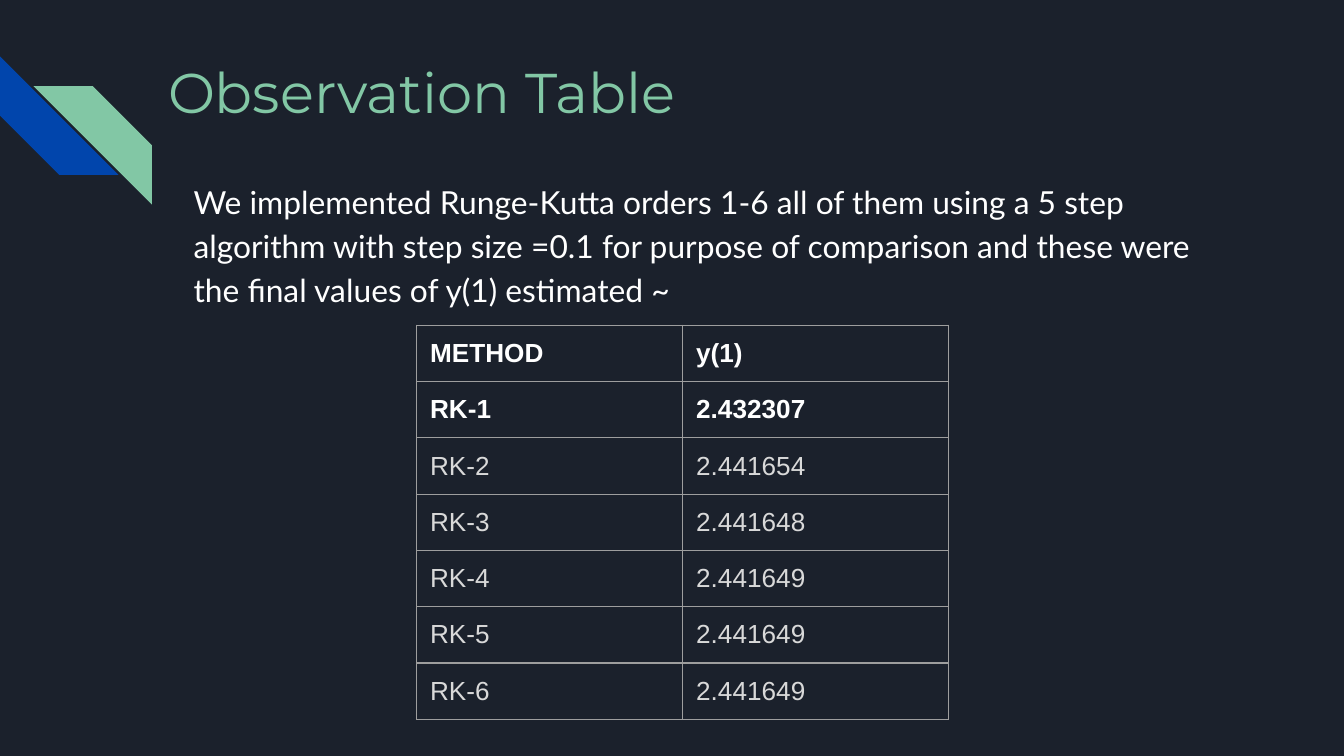
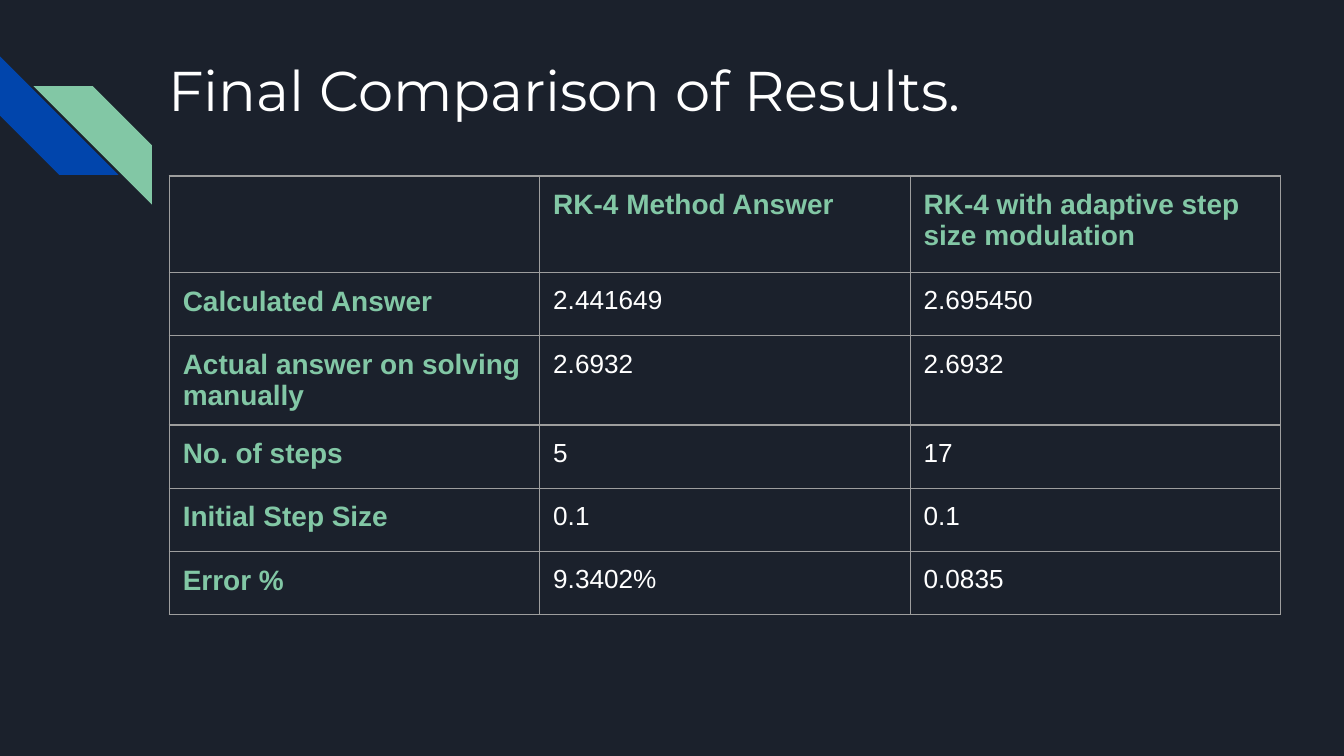
from dataclasses import dataclass

from lxml.etree import SubElement
from pptx import Presentation
from pptx.dml.color import RGBColor
from pptx.enum.shapes import MSO_SHAPE
from pptx.enum.text import MSO_ANCHOR, MSO_AUTO_SIZE, PP_ALIGN
from pptx.oxml.ns import qn
from pptx.util import Inches, Pt


@dataclass(frozen=True)
class Theme:
    back: str = "1B212C"
    blue: str = "0145AC"
    green: str = "82C7A5"
    white: str = "FFFFFF"
    soft: str = "D9D9D9"
    border: str = "9E9E9E"
    border_pt: float = 0.75
    title_font: str = "Montserrat"
    body_font: str = "Lato"
    table_font: str = "Arial"
    title_pt: int = 30
    body_pt: int = 17
    head_pt: int = 15
    cell_pt: int = 14


@dataclass(frozen=True)
class Box:
    """A region in grid columns and rows."""
    x: float
    y: float
    w: float
    h: float


T = Theme()
COLS, ROWS = 100, 56.25
INSET = Inches(0.1)
STRIPES = Box(0, 4.2, 11.3, 11)


def grid(n):
    """Length of n grid steps; columns and rows are equally large."""
    return Inches(n / 10)


def place(box):
    return [grid(n) for n in (box.x, box.y, box.w, box.h)]


def set_insets(target):
    for side in ("left", "top", "right", "bottom"):
        setattr(target, f"margin_{side}", INSET)


def write(tf, text, *, font, size, color, bold=False, spacing=1.0):
    p = tf.paragraphs[0]
    p.alignment = PP_ALIGN.LEFT
    p.line_spacing = spacing
    p.space_before = p.space_after = Pt(0)
    r = p.add_run()
    r.text = text
    r.font.name = font
    r.font.size = Pt(size)
    r.font.bold = bold
    r.font.color.rgb = RGBColor.from_string(color)
    return p


def fill_placeholder(ph, box, text, **fmt):
    ph.left, ph.top, ph.width, ph.height = place(box)
    tf = ph.text_frame
    tf.word_wrap = True
    tf.auto_size = MSO_AUTO_SIZE.NONE
    tf.vertical_anchor = MSO_ANCHOR.TOP
    set_insets(tf)
    return write(tf, text, **fmt)


def add_title(s, box, text, color):
    fill_placeholder(s.shapes.title, box, text, font=T.title_font,
                     size=T.title_pt, color=color)


def add_body(s, box, text):
    p = fill_placeholder(s.placeholders[1], box, text, font=T.body_font,
                         size=T.body_pt, color=T.white, spacing=1.15)
    pPr = p._p.get_or_add_pPr()
    pPr.set("marL", "0")
    pPr.set("indent", "0")
    SubElement(pPr, qn("a:buNone"))


def add_stripes(s, box):
    """Two diagonal bands at opposite corners of the box."""
    side = box.w * 0.78
    corners = ((box.x, box.y, T.blue),
               (box.x + box.w * 0.22, box.y + box.h * 0.2, T.green))
    for x, y, color in corners:
        sp = s.shapes.add_shape(MSO_SHAPE.DIAGONAL_STRIPE,
                                *place(Box(x, y, side, side)))
        sp.shadow.inherit = False
        sp.fill.solid()
        sp.fill.fore_color.rgb = RGBColor.from_string(color)
        sp.line.fill.background()
        if color == T.blue:
            sp.rotation = 270
        else:
            sp._element.spPr.get_or_add_xfrm().set("flipH", "1")


def set_borders(cell):
    tcPr = cell._tc.get_or_add_tcPr()
    for i, tag in enumerate(("a:lnL", "a:lnR", "a:lnT", "a:lnB")):
        ln = SubElement(tcPr, qn(tag), w=str(Pt(T.border_pt)))
        fill = SubElement(ln, qn("a:solidFill"))
        SubElement(fill, qn("a:srgbClr"), val=T.border)
        tcPr.insert(i, ln)


def add_grid_table(s, box, rows, heights, cell_format):
    """Table with equal columns; cell_format(row, col) gives the text format."""
    n_cols = len(rows[0])
    table = s.shapes.add_table(len(rows), n_cols, *place(box)).table
    table.first_row = table.horz_banding = False
    for col in table.columns:
        col.width = grid(box.w / n_cols)
    for i, (values, height) in enumerate(zip(rows, heights)):
        table.rows[i].height = grid(height)
        for j, value in enumerate(values):
            cell = table.cell(i, j)
            set_insets(cell)
            cell.fill.background()
            set_borders(cell)
            if value:
                write(cell.text_frame, value, font=T.table_font,
                      **cell_format(i, j))


def observation_format(row, col):
    strong = row < 2
    return dict(size=T.cell_pt, bold=strong,
                color=T.white if strong else T.soft)


def comparison_format(row, col):
    if row == 0 or col == 0:
        return dict(size=T.head_pt, bold=True, color=T.green)
    return dict(size=T.cell_pt, color=T.white)


def new_slide(prs, layout):
    s = prs.slides.add_slide(prs.slide_layouts[layout])
    add_stripes(s, STRIPES)
    return s


def observation_slide(prs):
    s = new_slide(prs, 1)
    add_title(s, Box(11.5, 3.3, 77, 10), "Observation Table", T.green)
    add_body(s, Box(13.4, 12.2, 77, 31.8),
             "We implemented Runge-Kutta orders 1-6 all of them using a 5 step "
             "algorithm with step size =0.1 for purpose of comparison and "
             "these were the final values of y(1) estimated ~")
    estimates = ("2.432307", "2.441654", "2.441648",
                 "2.441649", "2.441649", "2.441649")
    rows = [("METHOD", "y(1)")]
    rows += [(f"RK-{n}", y) for n, y in enumerate(estimates, 1)]
    heights = [4.18] * len(rows)
    add_grid_table(s, Box(31, 24.2, 39.6, sum(heights)), rows, heights,
                   observation_format)


def comparison_slide(prs):
    s = new_slide(prs, 5)
    add_title(s, Box(11.5, 3.1, 77, 10), "Final Comparison of Results.", T.white)
    rows = [
        ("", "RK-4 Method Answer", "RK-4 with adaptive step size modulation"),
        ("Calculated Answer", "2.441649", "2.695450"),
        ("Actual answer on solving manually", "2.6932", "2.6932"),
        ("No. of steps", "5", "17"),
        ("Initial Step Size", "0.1", "0.1"),
        ("Error %", "9.3402%", "0.0835"),
    ]
    heights = [7.2] + [4.7] * (len(rows) - 1)
    add_grid_table(s, Box(12.6, 13.1, 82.7, sum(heights)), rows, heights,
                   comparison_format)


def main():
    prs = Presentation()
    prs.slide_width, prs.slide_height = grid(COLS), grid(ROWS)
    # Shared background
    back = prs.slide_master.background.fill
    back.solid()
    back.fore_color.rgb = RGBColor.from_string(T.back)
    observation_slide(prs)
    comparison_slide(prs)
    prs.save("out.pptx")


if __name__ == "__main__":
    main()
